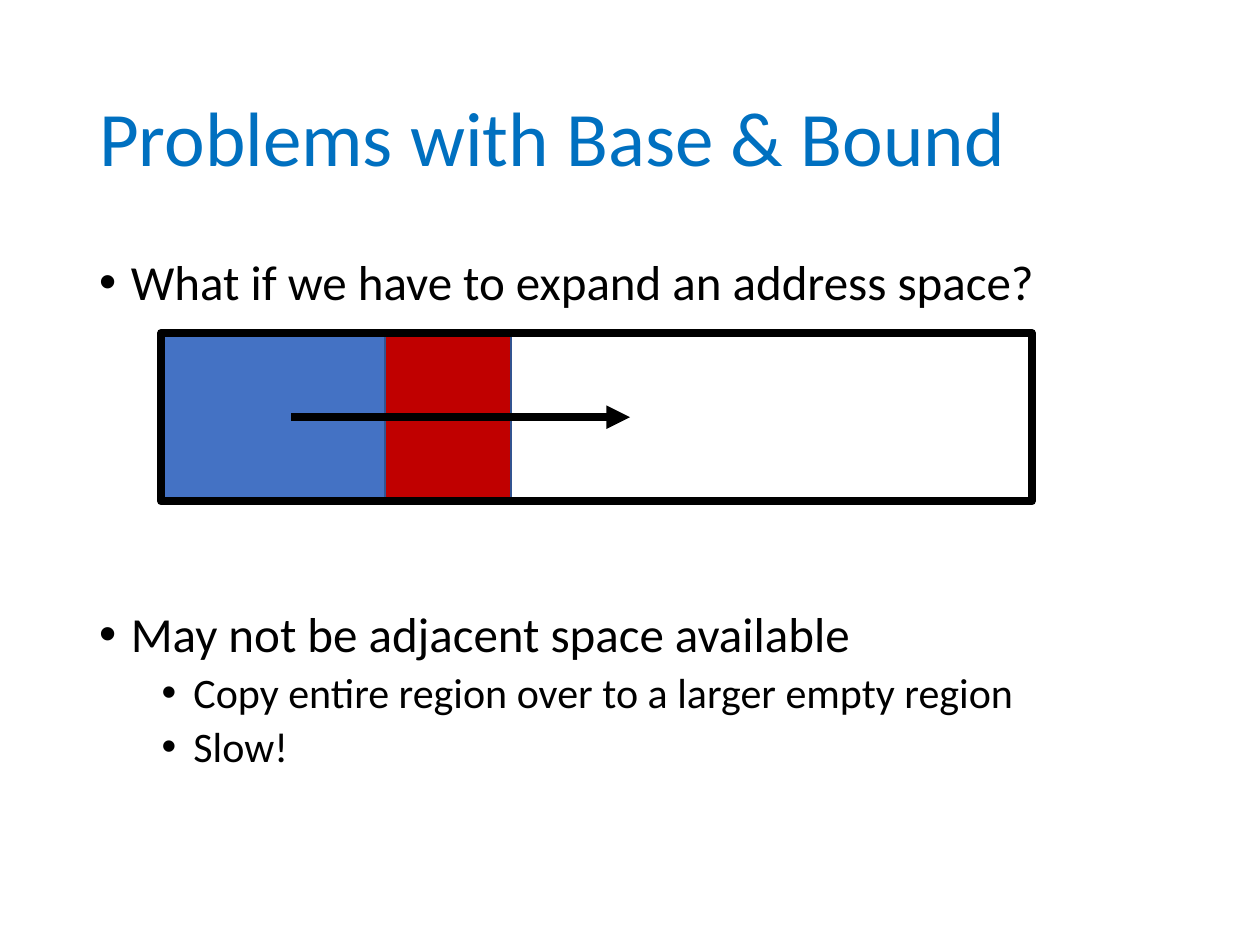
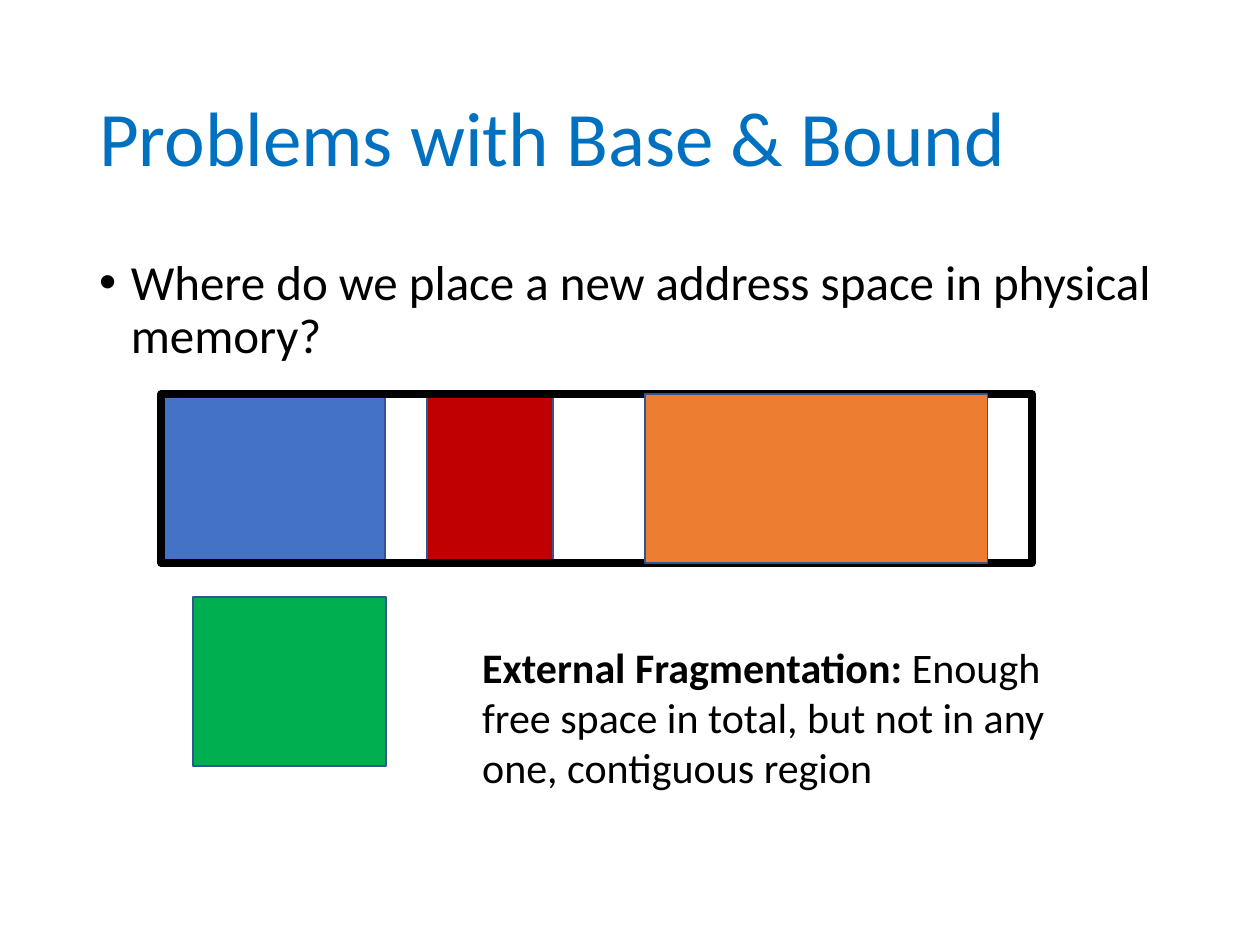
from lxml import etree
from pptx import Presentation
from pptx.dml.color import RGBColor
from pptx.enum import shapes, text
from pptx.oxml.ns import qn
from pptx.util import Cm, Pt

COLORS = {
    "title": "0070C0", "black": "000000", "edge": "325491", "blue": "4472C4",
    "red": "C00000", "orange": "ED7D31", "green": "00B050",
}
TITLE = "Problems with Base & Bound"
MARGIN, CONTENT_WIDTH = 1.75, 21.9
MEMORY_LEFT, MEMORY_WIDTH, BLOCK_HEIGHT = 3.25, 17.55, 3.4
BLUE_WIDTH, RED_WIDTH = 4.52, 2.54


def write(frame, content, size=28, color="black", lead="", bullet_indent=None,
          before=0, spacing=0.9):
    """Append a paragraph, optionally bulleted and opened by a bold lead."""
    paragraph = frame.paragraphs[0]
    if paragraph.runs:
        paragraph = frame.add_paragraph()
    if bullet_indent is not None:
        properties = paragraph._p.get_or_add_pPr()
        properties.set("marL", str(Cm(bullet_indent)))
        properties.set("indent", str(-Cm(0.64)))
        etree.SubElement(properties, qn("a:buFont")).set("typeface", "Arial")
        etree.SubElement(properties, qn("a:buChar")).set("char", "•")
    paragraph.space_before = Pt(before)
    paragraph.line_spacing = spacing
    for part, bold in ((lead, True), (content, False)):
        if part:
            run = paragraph.add_run()
            run.text = part
            run.font.name = "Calibri"
            run.font.size = Pt(size)
            run.font.bold = bold
            run.font.color.rgb = RGBColor.from_string(COLORS[color])


def add_block(slide, left, top, width, fill=None, edge="edge", weight=1):
    block = slide.shapes.add_shape(shapes.MSO_SHAPE.RECTANGLE, Cm(left), Cm(top),
                                   Cm(width), Cm(BLOCK_HEIGHT))
    block.shadow.inherit = False
    if fill:
        block.fill.solid()
        block.fill.fore_color.rgb = RGBColor.from_string(COLORS[fill])
    else:
        block.fill.background()
    block.line.color.rgb = RGBColor.from_string(COLORS[edge])
    block.line.width = Pt(weight)


presentation = Presentation()
presentation.slide_width, presentation.slide_height = Cm(25.4), Cm(19.05)

# Each bullet: text, size, indent, space before
pages = [
    {
        "bullets": [
            ("What if we have to expand an address space?", 28, 0.64, 0),
            ("May not be adjacent space available", 28, 0.64, 171),
            ("Copy entire region over to a larger empty region", 24, 1.9, 5),
            ("Slow!", 24, 1.9, 5),
        ],
        "memory_top": 6.71,
        "red_left": MEMORY_LEFT + BLUE_WIDTH,
    },
    {
        "bullets": [
            ("Where do we place a new address space in physical memory?", 28, 0.64, 0),
        ],
        "memory_top": 7.95,
        "red_left": 8.61,
    },
]

# Shared layout: title, bullets and the memory bar with two regions
slides = []
for page in pages:
    slide = presentation.slides.add_slide(presentation.slide_layouts[6])
    slides.append(slide)

    title = slide.shapes.add_textbox(Cm(MARGIN), Cm(1.01), Cm(CONTENT_WIDTH), Cm(3.68))
    title.text_frame.word_wrap = True
    title.text_frame.vertical_anchor = text.MSO_ANCHOR.MIDDLE
    write(title.text_frame, TITLE, size=44, color="title")

    body = slide.shapes.add_textbox(Cm(MARGIN), Cm(5.08), Cm(CONTENT_WIDTH), Cm(12.09))
    body.text_frame.word_wrap = True
    for content, size, indent, before in page["bullets"]:
        write(body.text_frame, content, size=size, bullet_indent=indent, before=before)

    top = page["memory_top"]
    add_block(slide, MEMORY_LEFT, top, BLUE_WIDTH, "blue")
    add_block(slide, page["red_left"], top, RED_WIDTH, "red")
    add_block(slide, MEMORY_LEFT, top, MEMORY_WIDTH, edge="black", weight=4.5)

expand_slide, place_slide = slides

# Arrow from the blue region to the free space
arrow_y = Cm(pages[0]["memory_top"] + BLOCK_HEIGHT / 2)
arrow = expand_slide.shapes.add_connector(shapes.MSO_CONNECTOR.STRAIGHT,
                                          Cm(5.87), arrow_y, Cm(12.7), arrow_y)
arrow.line.color.rgb = RGBColor.from_string(COLORS["black"])
arrow.line.width = Pt(4.5)
etree.SubElement(arrow.line._get_or_add_ln(), qn("a:tailEnd")).set("type", "triangle")
etree.SubElement(arrow._element.spPr, qn("a:effectLst"))

# Third region, the new address space and the explanation
add_block(place_slide, 13, pages[1]["memory_top"], 6.91, "orange")
add_block(place_slide, 3.89, 12.04, 3.89, "green")
note = place_slide.shapes.add_textbox(Cm(9.47), Cm(12.8), Cm(13.18), Cm(3.33))
note.text_frame.word_wrap = True
write(note.text_frame, "Enough free space in total, but not in any one, contiguous region",
      size=24, lead="External Fragmentation: ", spacing=1.0)

presentation.save("out.pptx")
